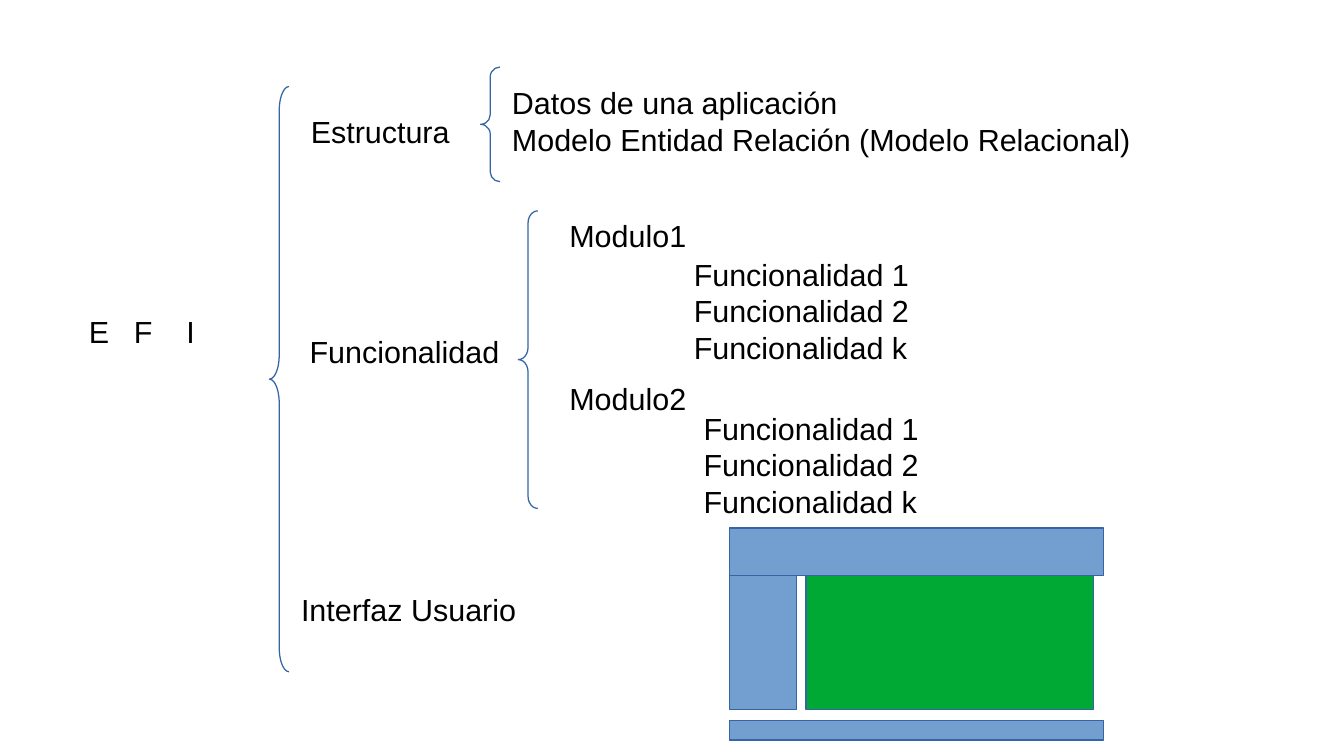
"""Build the EFI outline slide: structure, functionality and user interface."""
from dataclasses import dataclass
from typing import NamedTuple

from lxml import etree
from pptx import Presentation
from pptx.dml.color import RGBColor
from pptx.enum.shapes import MSO_SHAPE
from pptx.oxml.ns import qn
from pptx.util import Inches, Pt

BRACE = MSO_SHAPE.LEFT_BRACE
RECTANGLE = MSO_SHAPE.RECTANGLE
BLANK_LAYOUT = 6


@dataclass(frozen=True)
class Theme:
    font: str = "Arial"
    size: int = 18
    text: RGBColor = RGBColor(0x00, 0x00, 0x00)
    outline: RGBColor = RGBColor(0x34, 0x65, 0xA4)
    frame: RGBColor = RGBColor(0x72, 0x9F, 0xCF)
    content: RGBColor = RGBColor(0x00, 0xA9, 0x33)


class Label(NamedTuple):
    left: float
    top: float
    width: float
    height: float
    lines: tuple[str, ...]
    tabs: tuple[float, ...] = ()


class Brace(NamedTuple):
    left: float
    top: float
    height: float
    bend: float


class Panel(NamedTuple):
    left: float
    top: float
    width: float
    height: float
    fill: RGBColor


THEME = Theme()
LINE_HEIGHT = 0.38
BRACE_WIDTH = 0.16
FUNCTIONS = tuple(f"Funcionalidad {index}" for index in ("1", "2", "k"))

LABELS = (
    Label(0.63, 2.52, 1.34, LINE_HEIGHT, ("E\tF\tI",), (0.37, 0.8)),
    Label(2.45, 0.88, 1.34, LINE_HEIGHT, ("Estructura",)),
    Label(2.44, 2.68, 1.81, LINE_HEIGHT, ("Funcionalidad",)),
    Label(2.37, 4.8, 2.36, 0.66, ("Interfaz Usuario",)),
    Label(4.1, 0.64, 6.3, 0.94, (
        "Datos de una aplicación",
        "Modelo Entidad Relación (Modelo Relacional)",
    )),
    Label(4.57, 1.73, 2.05, LINE_HEIGHT, ("Modulo1",)),
    Label(5.59, 2.05, 2.05, 0.94, FUNCTIONS),
    Label(4.57, 3.07, 2.05, LINE_HEIGHT, ("Modulo2",)),
    Label(5.67, 3.31, 2.05, 0.94, FUNCTIONS),
)

BRACES = (
    Brace(2.21, 0.71, 4.8, 0.2),
    Brace(3.94, 0.55, 0.94, 0.08),
    Brace(4.25, 1.73, 2.44, 0.1),
)

PANELS = (
    Panel(5.98, 4.33, 3.07, 0.39, THEME.frame),
    Panel(5.98, 4.72, 0.55, 1.1, THEME.frame),
    Panel(6.61, 4.72, 2.36, 1.1, THEME.content),
    Panel(5.98, 5.91, 3.07, 0.16, THEME.frame),
)


def set_tabs(para, tabs: tuple[float, ...]) -> None:
    """Give a paragraph left-aligned tab stops."""
    tab_list = etree.SubElement(para._p.get_or_add_pPr(), qn("a:tabLst"))
    for position in tabs:
        etree.SubElement(tab_list, qn("a:tab"), pos=str(Inches(position)), algn="l")


def write_line(para, text: str, *, size: int, color: RGBColor, tabs: tuple[float, ...] = ()) -> None:
    """Write one formatted line of text into a paragraph."""
    span = para.add_run()
    span.text = text
    span.font.name = THEME.font
    span.font.size = Pt(size)
    span.font.color.rgb = color
    if tabs:
        set_tabs(para, tabs)


def draw_label(page, label: Label) -> None:
    """Draw a text box with one paragraph for each line."""
    box = page.shapes.add_textbox(
        Inches(label.left), Inches(label.top), Inches(label.width), Inches(label.height)
    )
    frame = box.text_frame
    frame.word_wrap = True
    for index, line in enumerate(label.lines):
        para = frame.add_paragraph() if index else frame.paragraphs[0]
        write_line(para, line, size=THEME.size, color=THEME.text, tabs=label.tabs)


def draw_outline(shape) -> None:
    """Give a shape the hairline outline and no shadow."""
    shape.shadow.inherit = False
    shape.line.color.rgb = THEME.outline
    shape.line.width = Pt(0)


def draw_brace(page, brace: Brace) -> None:
    """Draw a left brace that points to its middle."""
    shape = page.shapes.add_shape(
        BRACE, Inches(brace.left), Inches(brace.top), Inches(BRACE_WIDTH), Inches(brace.height)
    )
    shape.adjustments[0] = brace.bend / BRACE_WIDTH
    shape.fill.background()
    draw_outline(shape)


def draw_panel(page, panel: Panel) -> None:
    """Draw one filled area of the interface sketch."""
    shape = page.shapes.add_shape(
        RECTANGLE, Inches(panel.left), Inches(panel.top), Inches(panel.width), Inches(panel.height)
    )
    shape.fill.solid()
    shape.fill.fore_color.rgb = panel.fill
    draw_outline(shape)


def main() -> None:
    """Build the deck and save it."""
    deck = Presentation()
    deck.slide_width, deck.slide_height = Inches(11.02), Inches(6.2)
    page = deck.slides.add_slide(deck.slide_layouts[BLANK_LAYOUT])
    for brace in BRACES:
        draw_brace(page, brace)
    for label in LABELS:
        draw_label(page, label)
    for panel in PANELS:
        draw_panel(page, panel)
    deck.save("out.pptx")


main()
